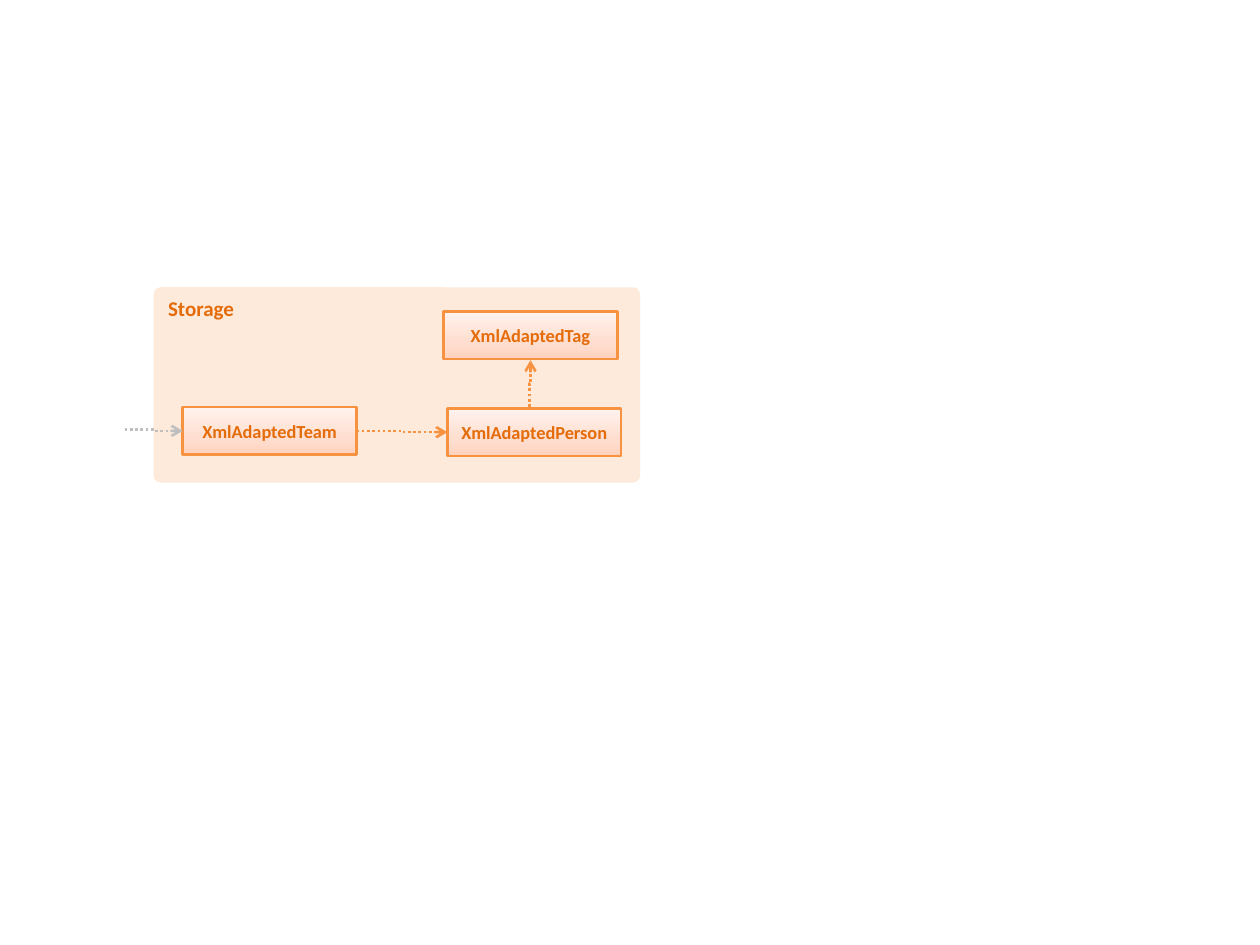
import copy

import lxml.etree
import pptx
import pptx.dml.color
import pptx.enum.dml
import pptx.enum.shapes
import pptx.enum.text
import pptx.oxml.ns
import pptx.util

Inches = pptx.util.Inches
qn = pptx.oxml.ns.qn
SHAPES = pptx.enum.shapes.MSO_SHAPE
ANCHOR = pptx.enum.text.MSO_ANCHOR
ALIGN = pptx.enum.text.PP_ALIGN

COLORS = {
    "panel": "FDEADA",
    "text": "E46C0A",
    "edge": "F69240",
    "outside": "BFBFBF",
    "box_bottom": "FFD2BD",
    "box_middle": "FFDED0",
    "box_top": "FFF2ED",
}
BOX_STOPS = [(0, "box_bottom"), (0.35, "box_middle"), (1, "box_top")]
BOX_WIDTH, BOX_HEIGHT = 1.38, 0.38


def rgb(name):
    return pptx.dml.color.RGBColor.from_string(COLORS[name])


def write_label(shape, text, size, align, frame_format):
    frame = shape.text_frame
    for name, value in frame_format.items():
        setattr(frame, name, value)
    paragraph = frame.paragraphs[0]
    paragraph.alignment = align
    run = paragraph.add_run()
    run.text = text
    font_format = {"name": "Calibri", "size": pptx.util.Pt(size), "bold": True}
    for name, value in font_format.items():
        setattr(run.font, name, value)
    run.font.color.rgb = rgb("text")


def fill_gradient(shape):
    fill = shape.fill
    fill.gradient()
    fill.gradient_angle = 90
    # A third stop is cloned, as new gradients have two
    stop_list = shape.element.spPr.find(qn("a:gradFill")).find(qn("a:gsLst"))
    stop_list.append(copy.deepcopy(stop_list[0]))
    for stop, (position, color) in zip(fill.gradient_stops, BOX_STOPS):
        stop.position = position
        stop.color.rgb = rgb(color)


def add_class_box(slide, left, top, text):
    box = slide.shapes.add_shape(SHAPES.RECTANGLE, Inches(left), Inches(top),
                                 Inches(BOX_WIDTH), Inches(BOX_HEIGHT))
    box.shadow.inherit = False
    fill_gradient(box)
    box.line.color.rgb = rgb("edge")
    box.line.width = pptx.util.Pt(1.5)
    write_label(box, text, 10.5, ALIGN.CENTER, {
        "word_wrap": True, "vertical_anchor": ANCHOR.MIDDLE,
        "margin_left": 0, "margin_right": 0})


def add_dependency(slide, start, end, color, upward=False):
    (x1, y1), (x2, y2) = start, end
    if upward:
        # An upward elbow is a flipped horizontal one, turned by 90 degrees
        mid_x, mid_y = (x1 + x2) / 2, (y1 + y2) / 2
        half_run, half_jog = (y1 - y2) / 2, (x2 - x1) / 2
        x1, x2 = mid_x + half_run, mid_x - half_run
        y1, y2 = mid_y + half_jog, mid_y - half_jog
    arrow = slide.shapes.add_connector(
        pptx.enum.shapes.MSO_CONNECTOR.ELBOW,
        Inches(x1), Inches(y1), Inches(x2), Inches(y2))
    properties = arrow.element.spPr
    if upward:
        properties.find(qn("a:xfrm")).set("rot", "5400000")
    arrow.line.color.rgb = rgb(color)
    arrow.line.width = pptx.util.Pt(1.5)
    arrow.line.dash_style = pptx.enum.dml.MSO_LINE.ROUND_DOT
    outline = properties.find(qn("a:ln"))
    lxml.etree.SubElement(outline, qn("a:tailEnd"), type="arrow")
    lxml.etree.SubElement(properties, qn("a:effectLst"))


def add_storage(slide, left, top, width, height):
    # Background panel with its title
    panel = slide.shapes.add_shape(SHAPES.ROUNDED_RECTANGLE, Inches(left),
                                   Inches(top), Inches(width), Inches(height))
    panel.adjustments[0] = 0.035
    panel.shadow.inherit = False
    panel.fill.solid()
    panel.fill.fore_color.rgb = rgb("panel")
    panel.line.fill.background()
    write_label(panel, "Storage", 12, ALIGN.LEFT,
                {"word_wrap": True, "vertical_anchor": ANCHOR.TOP})

    # Class boxes
    team_x, person_x, tag_x = left + 0.23, left + 2.33, left + 2.3
    row_y, tag_y = top + 0.95, top + 0.19
    middle_y = row_y + BOX_HEIGHT / 2
    add_class_box(slide, team_x, row_y, "XmlAdaptedTeam")
    add_class_box(slide, person_x, row_y + 0.01, "XmlAdaptedPerson")
    add_class_box(slide, tag_x, tag_y, "XmlAdaptedTag")

    # Dependencies, the first one coming from outside
    add_dependency(slide, (left - 0.23, middle_y - 0.01), (team_x, middle_y),
                   "outside")
    add_dependency(slide, (team_x + BOX_WIDTH, middle_y),
                   (person_x, middle_y + 0.01), "edge")
    add_dependency(slide, (left + 2.98, row_y),
                   (tag_x + BOX_WIDTH / 2, tag_y + BOX_HEIGHT + 0.01),
                   "edge", upward=True)


deck = pptx.Presentation()
deck.slide_width, deck.slide_height = Inches(10), Inches(7.5)
storage_slide = deck.slides.add_slide(deck.slide_layouts[6])
add_storage(storage_slide, 1.22, 2.28, 3.86, 1.55)
deck.save("out.pptx")
